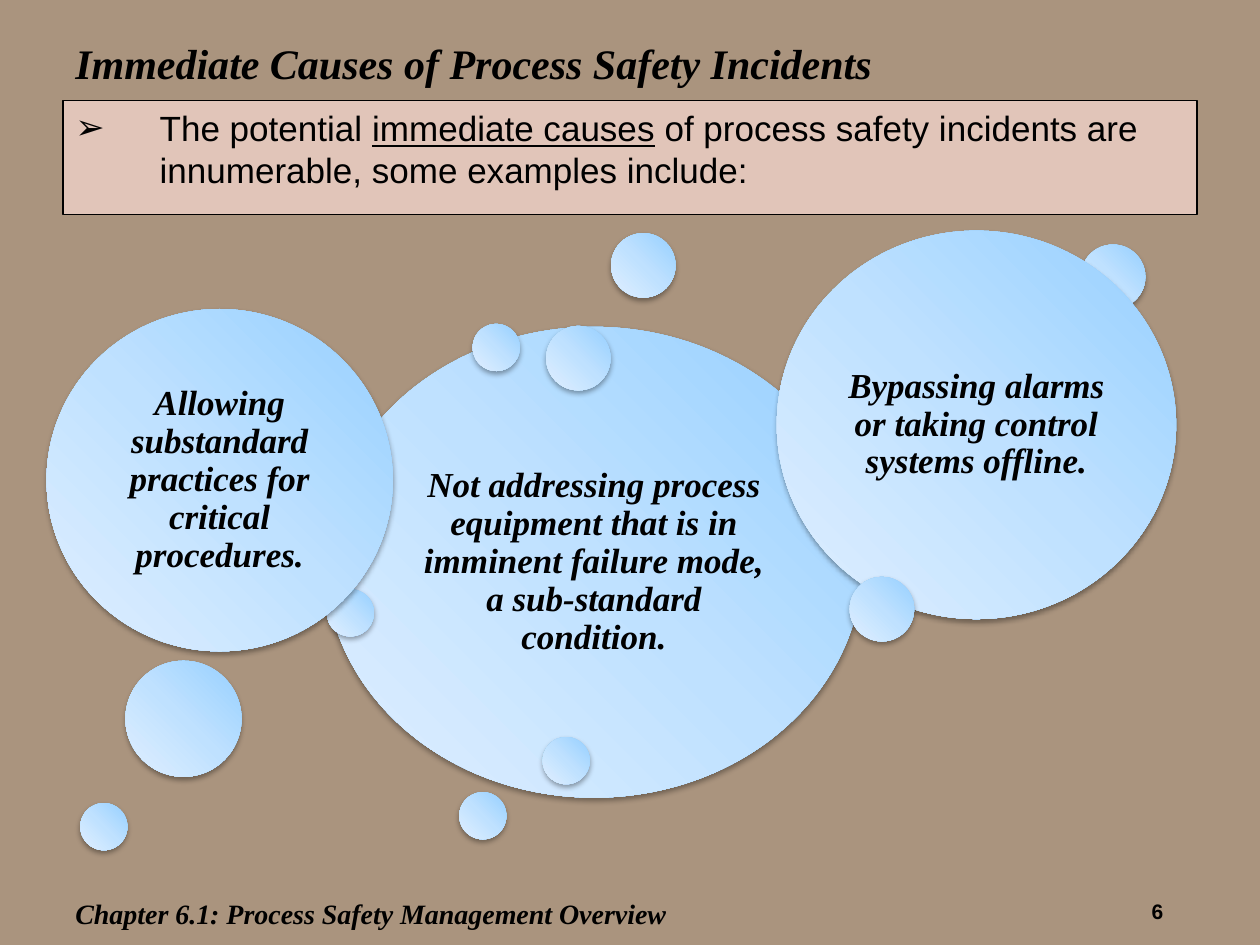
from copy import deepcopy

from lxml.etree import SubElement
from pptx import Presentation
from pptx.dml.color import RGBColor
from pptx.enum.shapes import MSO_SHAPE
from pptx.enum.text import MSO_ANCHOR, PP_ALIGN
from pptx.oxml.ns import qn
from pptx.util import Cm, Pt

BLACK = RGBColor(0x00, 0x00, 0x00)
TAN = RGBColor(0xAA, 0x94, 0x7E)
PINK = RGBColor(0xF9, 0xDB, 0xD3)
# Bubble gradient, from upper right to lower left
BUBBLE_BLUES = [RGBColor(0x96, 0xD0, 0xFF), RGBColor(0xBF, 0xE1, 0xFF),
                RGBColor(0xE0, 0xEF, 0xFF)]
SERIF, SANS = "Times New Roman", "Arial"

# Text, left, top, width, height (cm), size, font, italic, alignment, anchor
LABELS = [
    ("Immediate Causes of Process Safety Incidents", 1.27, 0.51, 22.86, 1.52,
     24, SERIF, True, PP_ALIGN.LEFT, MSO_ANCHOR.MIDDLE),
    ("Chapter 6.1: Process Safety Management Overview", 1.27, 17.78, 12.95, 1.27,
     16, SERIF, True, PP_ALIGN.LEFT, MSO_ANCHOR.MIDDLE),
    ("6", 21.16, 17.98, 2.54, 0.64,
     12, SANS, False, PP_ALIGN.RIGHT, MSO_ANCHOR.TOP),
]

# Introduction runs: text, underlined
INTRODUCTION = [
    ("The potential ", False),
    ("immediate causes", True),
    (" of process safety incidents are innumerable, some examples include:", False),
]

# Bubbles from back to front: left, top, width, height (cm), text
SMALL, MEDIUM, LARGE = 0.95, 1.3, 2.34
BUBBLES = [
    (6.56, 6.59, 10.83, 9.49, "Not addressing process equipment that is in "
                              "imminent failure mode, a sub-standard condition."),
    (12.32, 4.7, MEDIUM, MEDIUM, ""),
    (9.26, 15.97, SMALL, SMALL, ""),
    (21.79, 4.93, MEDIUM, MEDIUM, ""),
    (9.53, 6.53, SMALL, SMALL, ""),
    (6.59, 11.88, SMALL, SMALL, ""),
    (0.94, 6.23, 6.98, 6.9, "Allowing substandard practices for critical procedures."),
    (11.01, 6.57, MEDIUM, MEDIUM, ""),
    (2.53, 13.32, LARGE, LARGE, ""),
    (15.66, 4.65, 8.05, 7.83, "Bypassing alarms or taking control systems offline."),
    (17.13, 11.63, MEDIUM, MEDIUM, ""),
    (1.62, 16.19, SMALL, SMALL, ""),
    (10.94, 14.86, SMALL, SMALL, ""),
]


def style_font(paragraph, size, name, bold=False, italic=False):
    font = paragraph.font
    font.size, font.name = Pt(size), name
    font.bold, font.italic = bold, italic
    font.color.rgb = BLACK


def add_label(slide, text, left, top, width, height, size, name, italic, alignment, anchor):
    box = slide.shapes.add_textbox(Cm(left), Cm(top), Cm(width), Cm(height))
    frame = box.text_frame
    frame.word_wrap = True
    frame.vertical_anchor = anchor
    paragraph = frame.paragraphs[0]
    paragraph.text = text
    paragraph.alignment = alignment
    style_font(paragraph, size, name, bold=True, italic=italic)


def add_introduction(slide):
    box = slide.shapes.add_shape(MSO_SHAPE.RECTANGLE, Cm(1.27), Cm(2.03), Cm(22.86), Cm(2.29))
    box.shadow.inherit = False
    box.fill.solid()
    box.fill.fore_color.rgb = PINK
    color = box._element.spPr.find(qn("a:solidFill"))[0]
    SubElement(color, qn("a:alpha"), val="70000")
    box.line.color.rgb = BLACK
    box.line.width = Pt(0.75)

    frame = box.text_frame
    frame.word_wrap = True
    frame.vertical_anchor = MSO_ANCHOR.TOP
    paragraph = frame.paragraphs[0]
    paragraph.alignment = PP_ALIGN.LEFT
    # Arrow bullet with a hanging indent
    properties = paragraph._p.get_or_add_pPr()
    properties.set("marL", str(Cm(1.7)))
    properties.set("indent", str(-Cm(1.7)))
    SubElement(properties, qn("a:buFont"), typeface=SANS)
    SubElement(properties, qn("a:buChar"), char="➢")
    style_font(paragraph, 20, SANS)
    for text, underlined in INTRODUCTION:
        run = paragraph.add_run()
        run.text = text
        if underlined:
            run.font.underline = True


def fill_bubble(shape):
    shape.fill.gradient()
    shape.fill.gradient_angle = 225
    stop_list = shape._element.spPr.find(qn("a:gradFill")).find(qn("a:gsLst"))
    middle = deepcopy(stop_list[0])
    middle.set("pos", "50000")
    stop_list.insert(1, middle)
    for stop, color in zip(shape.fill.gradient_stops, BUBBLE_BLUES):
        stop.color.rgb = color
    shape.line.fill.background()


def add_soft_shadow(shape):
    shape.shadow.inherit = False
    effects = shape._element.spPr.find(qn("a:effectLst"))
    shadow = SubElement(effects, qn("a:outerShdw"), blurRad=str(Pt(3.1)),
                        dist=str(Pt(1.8)), dir="5400000", rotWithShape="0")
    color = SubElement(shadow, qn("a:srgbClr"), val=str(BLACK))
    SubElement(color, qn("a:alpha"), val="35000")


def add_bubble(slide, left, top, width, height, text):
    shape = slide.shapes.add_shape(MSO_SHAPE.OVAL, Cm(left), Cm(top), Cm(width), Cm(height))
    fill_bubble(shape)
    add_soft_shadow(shape)
    if not text:
        return
    frame = shape.text_frame
    frame.word_wrap = True
    frame.vertical_anchor = MSO_ANCHOR.MIDDLE
    frame.margin_left = frame.margin_right = Cm(0.22)
    frame.margin_top = frame.margin_bottom = Cm(0.2)
    paragraph = frame.paragraphs[0]
    paragraph.text = text
    paragraph.alignment = PP_ALIGN.CENTER
    paragraph.line_spacing = 0.9
    style_font(paragraph, 20, SERIF, bold=True, italic=True)


def main():
    presentation = Presentation()
    presentation.slide_width, presentation.slide_height = Cm(25.4), Cm(19.05)
    slide = presentation.slides.add_slide(presentation.slide_layouts[6])
    slide.background.fill.solid()
    slide.background.fill.fore_color.rgb = TAN

    add_introduction(slide)
    for bubble in BUBBLES:
        add_bubble(slide, *bubble)
    for label in LABELS:
        add_label(slide, *label)
    presentation.save("out.pptx")


if __name__ == "__main__":
    main()
